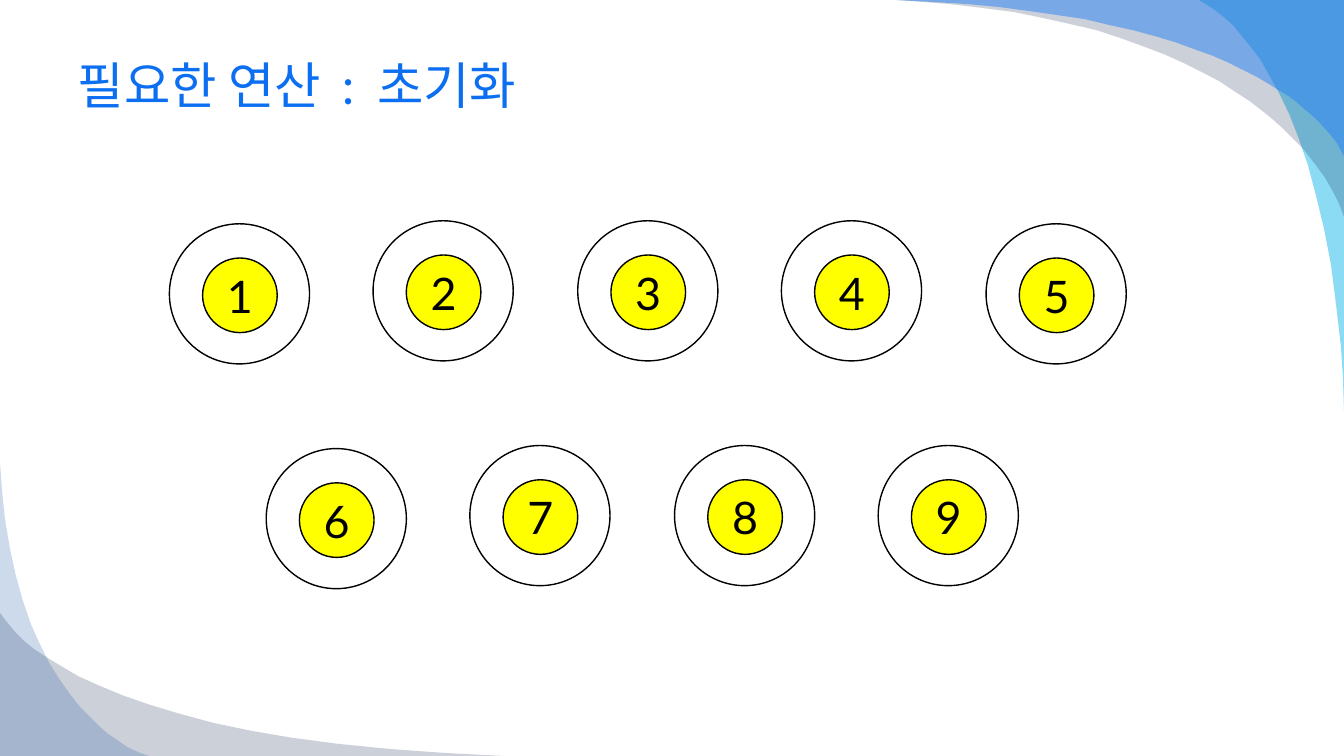
from dataclasses import dataclass

from lxml import etree
from pptx import Presentation
from pptx.dml.color import RGBColor
from pptx.enum.shapes import MSO_SHAPE
from pptx.enum.text import MSO_ANCHOR, MSO_AUTO_SIZE, PP_ALIGN
from pptx.oxml.ns import qn
from pptx.shapes.autoshape import Shape
from pptx.slide import Slide
from pptx.text.text import _Paragraph
from pptx.util import Emu, Pt

OVAL = MSO_SHAPE.OVAL
MIDDLE = MSO_ANCHOR.MIDDLE
NO_FIT = MSO_AUTO_SIZE.NONE
LEFT, CENTER = PP_ALIGN.LEFT, PP_ALIGN.CENTER

EMU_PER_PX = 9144
SLIDE_W, SLIDE_H = 1333, 750
FONT = "Lato"
BLACK, WHITE, YELLOW, TITLE_BLUE = "000000", "FFFFFF", "FFFF00", "0C6FF2"

RING_SIZE, CORE_SIZE = 139, 74
CORE_DX, CORE_DY = 33, 34
TWO_RING_STEPS = 405
LOWERED_BY = 3


@dataclass(frozen=True)
class Swoosh:
    color: str
    opacity: int  # percent
    corner: tuple[int, int]
    curve: tuple[tuple[int, int], ...]


@dataclass(frozen=True)
class RingRow:
    left: int
    top: int
    labels: str
    lowered: str


SWOOSHES = (
    # Top right corner
    Swoosh("00B1E9", 45, (1333, 0), (
        (1189, 0), (1194, 3), (1205, 10), (1215, 18), (1223, 25), (1231, 35),
        (1240, 46), (1250, 59), (1259, 75), (1269, 93), (1279, 114),
        (1288, 137), (1297, 163), (1305, 193), (1313, 226), (1320, 262),
        (1325, 301), (1330, 344), (1332, 375), (1333, 408))),
    Swoosh("021741", 20, (1333, 0), (
        (889, 0), (916, 2), (942, 4), (975, 8), (1006, 12), (1035, 18),
        (1062, 24), (1088, 30), (1112, 38), (1134, 46), (1155, 54),
        (1175, 63), (1193, 72), (1210, 81), (1225, 91), (1239, 100),
        (1252, 110), (1263, 119), (1274, 129), (1283, 138), (1292, 147),
        (1299, 156), (1306, 165), (1314, 176), (1322, 190), (1328, 202),
        (1333, 215))),
    Swoosh("247FF4", 49, (1333, 0), (
        (889, 0), (925, 2), (959, 4), (991, 7), (1021, 11), (1049, 15),
        (1076, 19), (1101, 25), (1124, 30), (1146, 36), (1166, 42),
        (1185, 49), (1202, 55), (1218, 62), (1232, 69), (1246, 76),
        (1258, 83), (1269, 90), (1279, 96), (1288, 103), (1296, 110),
        (1303, 116), (1309, 122), (1319, 133), (1326, 142), (1333, 155))),
    # Bottom left corner
    Swoosh("021741", 20, (0, 750), (
        (0, 608), (6, 616), (16, 628), (24, 636), (34, 644), (46, 652),
        (61, 661), (78, 671), (98, 680), (122, 690), (148, 699), (178, 708),
        (211, 717), (249, 725), (290, 732), (336, 738), (386, 743),
        (441, 747), (500, 750))),
    Swoosh("084AA1", 20, (0, 750), (
        (148, 750), (139, 747), (126, 741), (116, 734), (107, 728),
        (98, 720), (89, 711), (79, 701), (69, 688), (59, 674), (49, 658),
        (40, 640), (31, 620), (23, 597), (16, 572), (10, 545), (5, 515),
        (2, 487), (0, 458))),
)

RING_ROWS = (
    RingRow(168, 219, "12345", lowered="15"),
    RingRow(264, 442, "6789", lowered="6"),
)


def px(length: int) -> Emu:
    return Emu(length * EMU_PER_PX)


def rgb(color: str) -> RGBColor:
    return RGBColor.from_string(color)


def add_run(paragraph: _Paragraph, text: str, size: int, color: str,
            spacing: int = 0) -> None:
    run = paragraph.add_run()
    run.text = text
    run.font.size = Pt(size)
    run.font.name = FONT
    run.font.color.rgb = rgb(color)
    if spacing:
        run.font._element.set("spc", str(spacing))


def add_swoosh(slide: Slide, swoosh: Swoosh) -> None:
    builder = slide.shapes.build_freeform(*swoosh.corner, scale=EMU_PER_PX)
    builder.add_line_segments(swoosh.curve, close=True)
    shape = builder.convert_to_shape()
    shape.shadow.inherit = False
    shape.line.fill.background()
    shape.fill.solid()
    shape.fill.fore_color.rgb = rgb(swoosh.color)
    color = shape._element.spPr.find(f"{qn('a:solidFill')}/{qn('a:srgbClr')}")
    etree.SubElement(color, qn("a:alpha"), val=str(swoosh.opacity * 1000))


def add_circle(slide: Slide, left: int, top: int, size: int,
               color: str) -> Shape:
    circle = slide.shapes.add_shape(OVAL, px(left), px(top), px(size), px(size))
    circle.shadow.inherit = False
    circle.fill.solid()
    circle.fill.fore_color.rgb = rgb(color)
    circle.line.color.rgb = rgb(BLACK)
    circle.line.width = Pt(1)
    return circle


def add_ring_row(slide: Slide, row: RingRow) -> None:
    for index, label in enumerate(row.labels):
        left = row.left + index * TWO_RING_STEPS // 2
        top = row.top + (LOWERED_BY if label in row.lowered else 0)
        add_circle(slide, left, top, RING_SIZE, WHITE)
        core = add_circle(slide, left + CORE_DX, top + CORE_DY, CORE_SIZE, YELLOW)
        core.text_frame.vertical_anchor = MIDDLE
        paragraph = core.text_frame.paragraphs[0]
        paragraph.alignment = CENTER
        add_run(paragraph, label, 32, BLACK)


def set_title(slide: Slide) -> None:
    title = slide.shapes.title
    title.left, title.top, title.width, title.height = map(px, (67, 33, 1200, 101))
    frame = title.text_frame
    frame.auto_size = NO_FIT
    frame.vertical_anchor = MIDDLE
    paragraph = frame.paragraphs[0]
    paragraph.alignment = LEFT
    add_run(paragraph, "필요한 연산", 36, TITLE_BLUE)
    add_run(paragraph, " :", 36, TITLE_BLUE, spacing=700)
    add_run(paragraph, " 초기화", 36, TITLE_BLUE)


def main() -> None:
    deck = Presentation()
    deck.slide_width, deck.slide_height = px(SLIDE_W), px(SLIDE_H)
    slide = deck.slides.add_slide(deck.slide_layouts.get_by_name("Title Only"))

    # Corner decoration
    for swoosh in SWOOSHES:
        add_swoosh(slide, swoosh)

    # Title and numbered rings
    set_title(slide)
    for row in RING_ROWS:
        add_ring_row(slide, row)

    deck.save("out.pptx")


if __name__ == "__main__":
    main()
